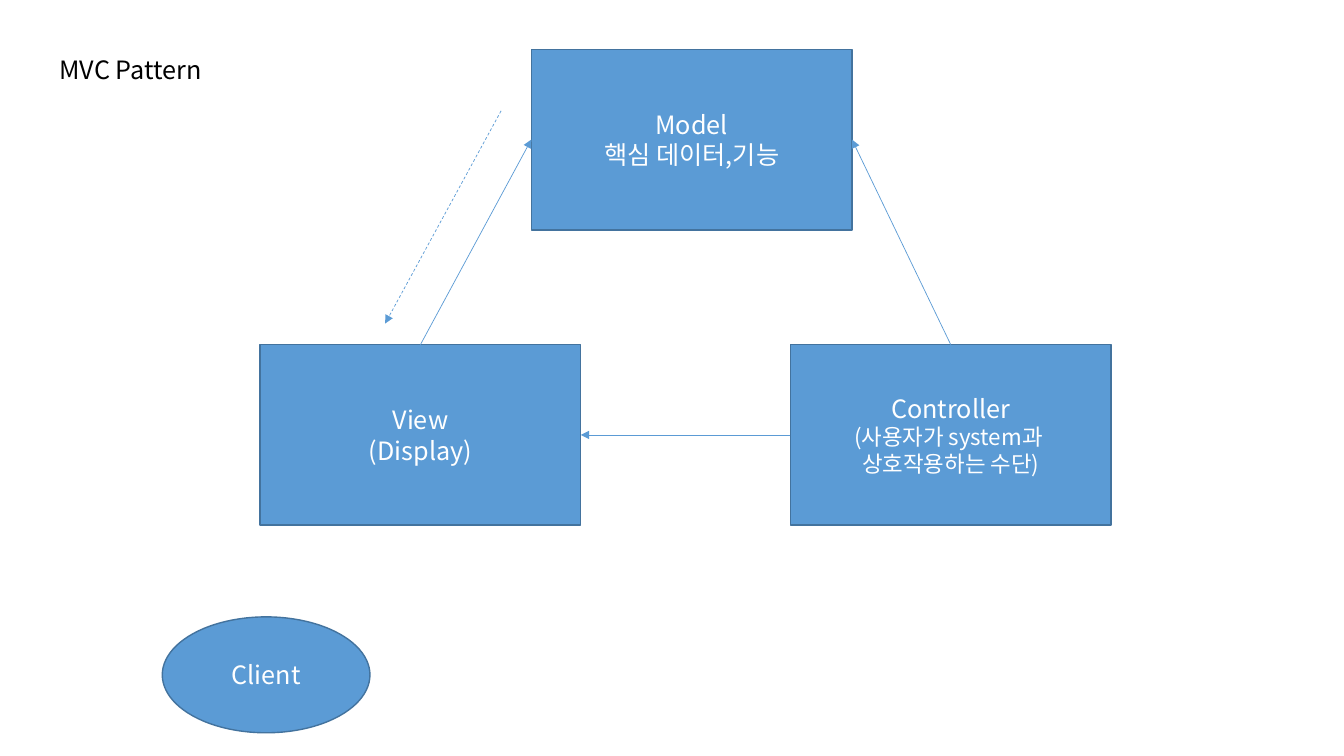
from lxml.etree import SubElement
from pptx import Presentation
from pptx.dml.color import RGBColor
from pptx.enum.dml import MSO_LINE
from pptx.enum.shapes import MSO_CONNECTOR, MSO_SHAPE
from pptx.enum.text import MSO_ANCHOR, MSO_AUTO_SIZE, PP_ALIGN
from pptx.oxml.ns import qn
from pptx.util import Inches, Pt

BLUE = RGBColor(0x5B, 0x9B, 0xD5)
DARK_BLUE = RGBColor(0x43, 0x73, 0x9E)
WHITE = RGBColor(0xFF, 0xFF, 0xFF)
BLACK = RGBColor(0x00, 0x00, 0x00)

TOP, LEFT, BOTTOM, RIGHT = range(4)  # connection sites of a rectangle
BOX_SIZE = (3.18, 1.79)


class Diagram:
    font_name = "Noto Sans CJK KR"

    def __init__(self, slide):
        self.slide = slide

    def add_lines(self, text_frame, lines, color, alignment):
        """Fill a text frame with (text, size) lines, one paragraph each."""
        for index, (text, size) in enumerate(lines):
            paragraph = text_frame.add_paragraph() if index else text_frame.paragraphs[0]
            paragraph.text = text
            paragraph.alignment = alignment
            font = paragraph.font
            font.size = Pt(size)
            font.color.rgb = color
            font.name = self.font_name
            # East Asian typeface for the Korean text
            properties = paragraph._p.pPr.find(qn("a:defRPr"))
            SubElement(properties, qn("a:ea"), typeface=self.font_name)

    def node(self, preset, left, top, size, lines):
        shape = self.slide.shapes.add_shape(
            preset, Inches(left), Inches(top), *map(Inches, size))
        shape.shadow.inherit = False
        shape.fill.solid()
        shape.fill.fore_color.rgb = BLUE
        shape.line.color.rgb = DARK_BLUE
        shape.line.width = Pt(1)
        shape.text_frame.vertical_anchor = MSO_ANCHOR.MIDDLE
        self.add_lines(shape.text_frame, lines, WHITE, PP_ALIGN.CENTER)
        return shape

    def box(self, left, top, *lines):
        return self.node(MSO_SHAPE.RECTANGLE, left, top, BOX_SIZE, lines)

    def title(self, left, top, width, height, text):
        text_box = self.slide.shapes.add_textbox(*map(Inches, (left, top, width, height)))
        text_box.text_frame.word_wrap = False
        text_box.text_frame.auto_size = MSO_AUTO_SIZE.SHAPE_TO_FIT_TEXT
        self.add_lines(text_box.text_frame, [(text, 18)], BLACK, PP_ALIGN.LEFT)

    def arrow(self, start=(0, 0), end=(0, 0)):
        connector = self.slide.shapes.add_connector(
            MSO_CONNECTOR.STRAIGHT, *map(Inches, (*start, *end)))
        connector.line.color.rgb = BLUE
        connector.line.width = Pt(0.5)
        SubElement(connector.line._get_or_add_ln(), qn("a:tailEnd"), type="triangle")
        SubElement(connector._element.spPr, qn("a:effectLst"))
        return connector

    def link(self, source, source_side, target, target_side):
        connector = self.arrow()
        connector.begin_connect(source, source_side)
        connector.end_connect(target, target_side)


def main():
    presentation = Presentation()
    presentation.slide_width = Inches(13.33)
    presentation.slide_height = Inches(7.5)
    diagram = Diagram(presentation.slides.add_slide(presentation.slide_layouts[6]))

    # The three parts of the pattern
    view = diagram.box(2.58, 3.42, ("View", 18), ("(Display)", 18))
    controller = diagram.box(
        7.84, 3.42, ("Controller", 18), ("(사용자가 system과 ", 16), ("상호작용하는 수단)", 16))
    model = diagram.box(5.27, 0.49, ("Model", 18), ("핵심 데이터,기능", 18))

    diagram.title(0.49, 0.49, 1.65, 0.4, "MVC Pattern")

    # Direct references
    diagram.link(controller, LEFT, view, RIGHT)
    diagram.link(controller, TOP, model, RIGHT)
    diagram.link(view, TOP, model, LEFT)

    # Indirect notification from model to view
    notification = diagram.arrow((4.97, 1.1), (3.82, 3.21))
    notification.line.dash_style = MSO_LINE.DASH

    diagram.node(MSO_SHAPE.OVAL, 1.61, 6.12, (2.06, 1.15), [("Client", 18)])

    presentation.save("out.pptx")


if __name__ == "__main__":
    main()
